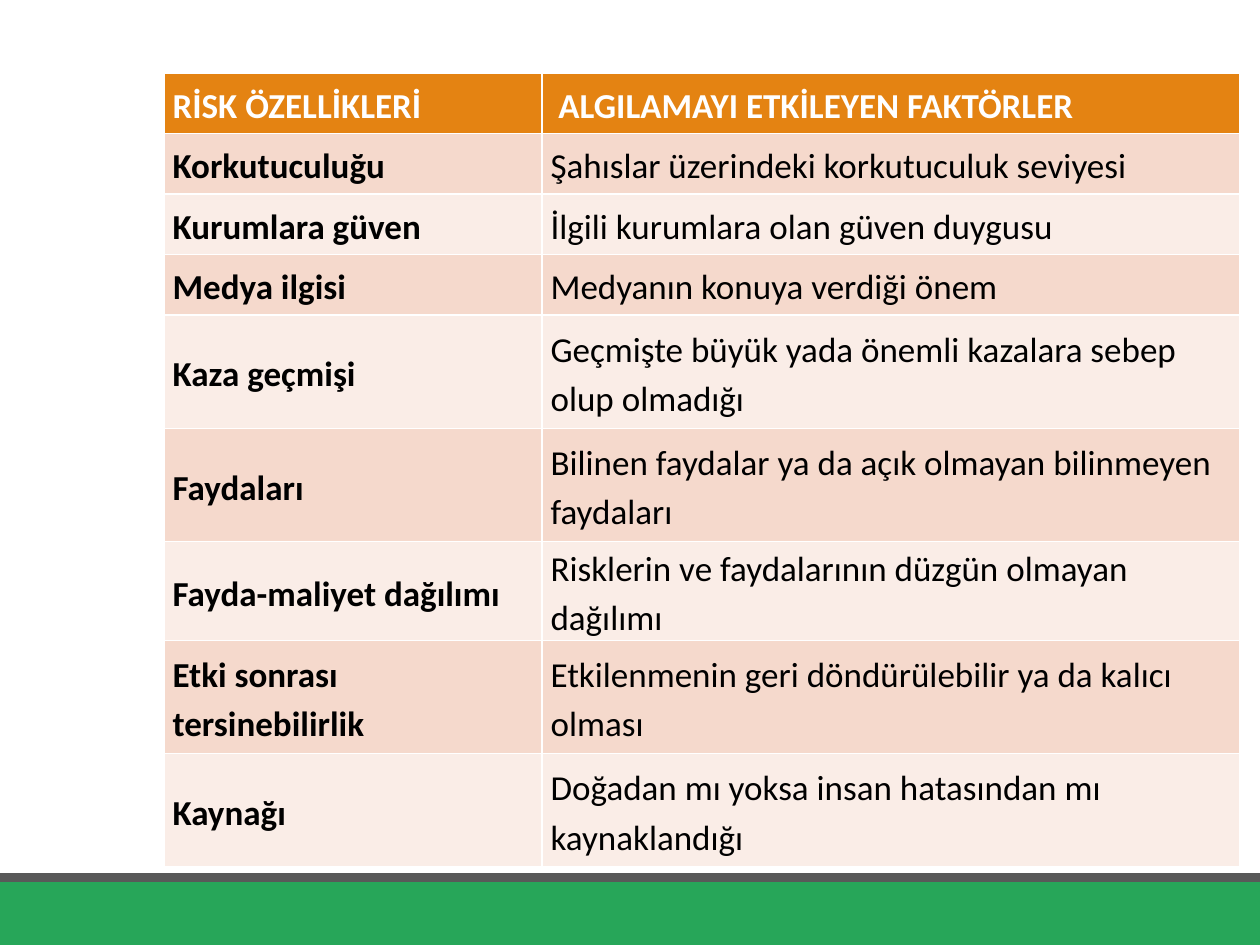
from lxml import etree
from pptx import Presentation
from pptx.dml.color import RGBColor
from pptx.enum import shapes, text
from pptx.oxml.ns import qn
from pptx.util import Inches, Pt

WHITE = RGBColor(0xFF, 0xFF, 0xFF)
BLACK = RGBColor(0, 0, 0)
GREEN = RGBColor(0x27, 0xA6, 0x59)
GRAY = RGBColor(0x59, 0x59, 0x59)
ORANGE = RGBColor(0xE4, 0x83, 0x12)
BANDS = (RGBColor(0xFA, 0xED, 0xE7), RGBColor(0xF5, 0xD9, 0xCC))

SHORT, TALL = 0.48, 0.9
COLUMN_WIDTHS = (3, 5.54)
ROWS = (
    (SHORT, "RİSK ÖZELLİKLERİ", " ALGILAMAYI ETKİLEYEN FAKTÖRLER"),
    (SHORT, "Korkutuculuğu", "Şahıslar üzerindeki korkutuculuk seviyesi"),
    (SHORT, "Kurumlara güven", "İlgili kurumlara olan güven duygusu"),
    (SHORT, "Medya ilgisi", "Medyanın konuya verdiği önem"),
    (TALL, "Kaza geçmişi", "Geçmişte büyük yada önemli kazalara sebep olup olmadığı"),
    (TALL, "Faydaları", "Bilinen faydalar ya da açık olmayan bilinmeyen faydaları"),
    (SHORT, "Fayda-maliyet dağılımı", "Risklerin ve faydalarının düzgün olmayan dağılımı"),
    (TALL, "Etki sonrası tersinebilirlik", "Etkilenmenin geri döndürülebilir ya da kalıcı olması"),
    (TALL, "Kaynağı", "Doğadan mı yoksa insan hatasından mı kaynaklandığı"),
)


def add_band(page, top, height, color):
    """Add a full-width footer band."""
    band = page.shapes.add_shape(shapes.MSO_SHAPE.RECTANGLE, 0, Inches(top),
                                 Inches(10), Inches(height))
    band.shadow.inherit = False
    band.fill.solid()
    band.fill.fore_color.rgb = color
    band.line.fill.background()


def set_borders(cell, width):
    properties = cell._tc.get_or_add_tcPr()
    for side in ("lnL", "lnR", "lnT", "lnB"):
        line = etree.SubElement(properties, qn(f"a:{side}"), w=str(Pt(width)))
        fill = etree.SubElement(line, qn("a:solidFill"))
        etree.SubElement(fill, qn("a:srgbClr"), val=str(WHITE))


def fill_cell(cell, wording, fill, color, bold):
    set_borders(cell, 1)
    cell.fill.solid()
    cell.fill.fore_color.rgb = fill
    cell.vertical_anchor = text.MSO_ANCHOR.MIDDLE
    cell.margin_left = cell.margin_right = Inches(0.07)
    cell.margin_top = cell.margin_bottom = 0
    cell.text = wording
    para = cell.text_frame.paragraphs[0]
    para.line_spacing = 1.15
    para.font.name = "Calibri"
    para.font.size = Pt(20)
    para.font.bold = bold
    para.font.color.rgb = color


def add_risk_table(page):
    height = sum(row[0] for row in ROWS)
    table = page.shapes.add_table(
        len(ROWS), len(COLUMN_WIDTHS), Inches(1.3), Inches(0.58),
        Inches(sum(COLUMN_WIDTHS)), Inches(height)).table
    for column, width in zip(table.columns, COLUMN_WIDTHS):
        column.width = Inches(width)
    for r, (row_height, *wordings) in enumerate(ROWS):
        table.rows[r].height = Inches(row_height)
        header = r == 0
        fill = ORANGE if header else BANDS[r % 2]
        color = WHITE if header else BLACK
        for c, wording in enumerate(wordings):
            fill_cell(table.cell(r, c), wording, fill, color, header or c == 0)


def main():
    deck = Presentation()
    deck.slide_width, deck.slide_height = Inches(10), Inches(7.5)
    page = deck.slides.add_slide(deck.slide_layouts[6])
    add_band(page, 7, 0.5, GREEN)
    add_band(page, 6.93, 0.07, GRAY)
    add_risk_table(page)
    deck.save("out.pptx")


if __name__ == "__main__":
    main()
